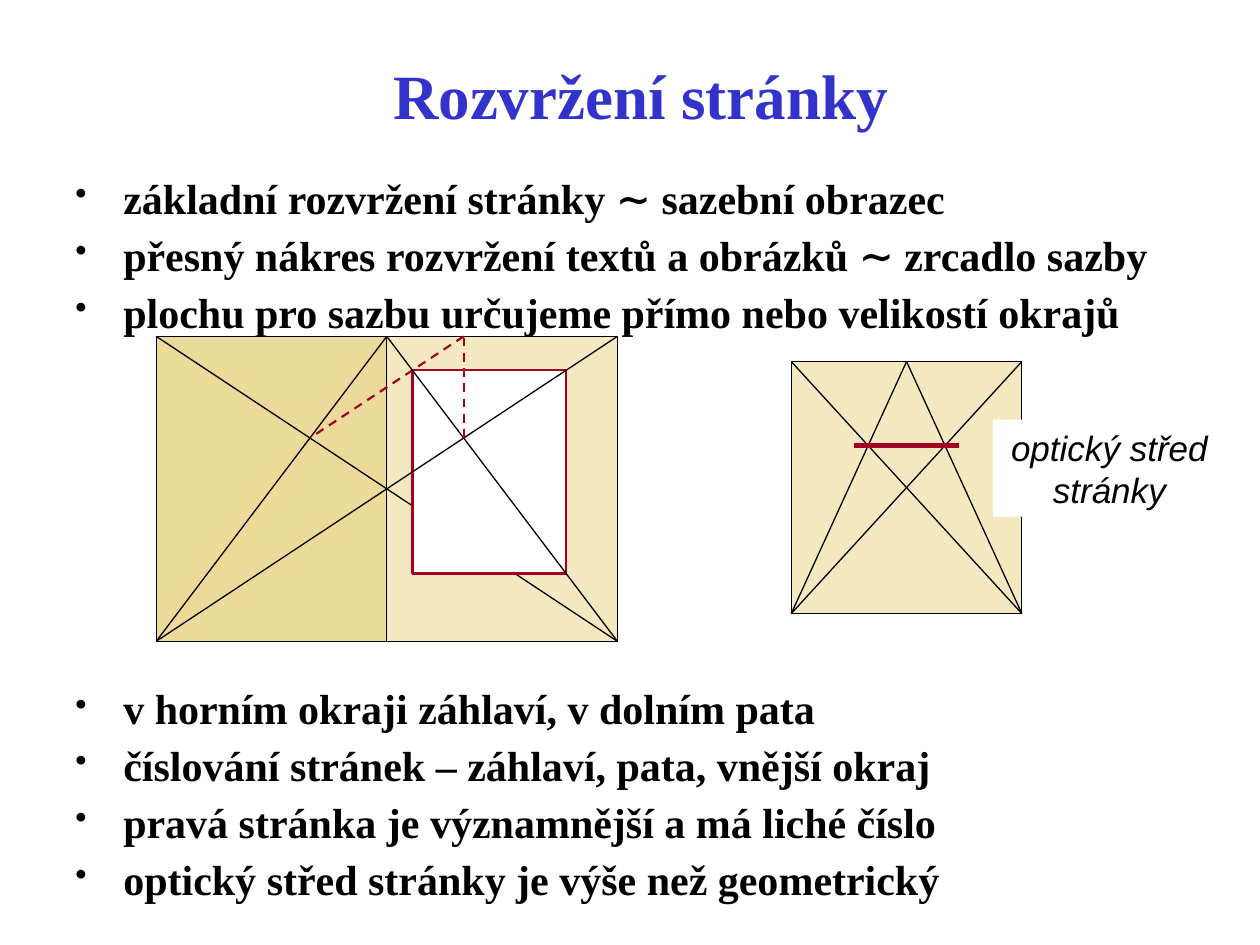
from lxml import etree
from pptx import Presentation
from pptx.dml.color import RGBColor
from pptx.enum.dml import MSO_LINE
from pptx.enum.shapes import MSO_CONNECTOR, MSO_SHAPE
from pptx.enum.text import MSO_ANCHOR, PP_ALIGN
from pptx.oxml.ns import qn
from pptx.util import Inches, Pt

STRAIGHT = MSO_CONNECTOR.STRAIGHT
RECTANGLE = MSO_SHAPE.RECTANGLE
DASH = MSO_LINE.DASH
CENTER = PP_ALIGN.CENTER
BOTTOM = MSO_ANCHOR.BOTTOM
TOP = MSO_ANCHOR.TOP

BLUE = RGBColor(0x33, 0x33, 0xCC)
BLACK = RGBColor(0, 0, 0)
WHITE = RGBColor(0xFF, 0xFF, 0xFF)
RED = RGBColor(0xA5, 0x00, 0x21)
SAND = RGBColor(0xEC, 0xDA, 0x9A)
CREAM = RGBColor(0xF3, 0xE8, 0xBF)

TITLE_FORMAT = {"name": "Times New Roman", "size": Pt(36), "bold": True}
LIST_FORMAT = {"name": "Times New Roman", "size": Pt(24), "bold": True}
LABEL_FORMAT = {"name": "Arial", "size": Pt(20), "italic": True}


def add_rectangle(shapes, left, top, width, height, fill, line=None, weight=0.75):
    box = shapes.add_shape(RECTANGLE, Inches(left), Inches(top), Inches(width), Inches(height))
    box.shadow.inherit = False
    box.fill.solid()
    box.fill.fore_color.rgb = fill
    if line is None:
        box.line.fill.background()
    else:
        box.line.color.rgb = line
        box.line.width = Pt(weight)
    return box


def add_line(shapes, start, end, color=BLACK, weight=0.75, dash=None):
    line = shapes.add_connector(STRAIGHT, *[Inches(value) for value in (*start, *end)])
    line.line.color.rgb = color
    line.line.width = Pt(weight)
    if dash is not None:
        line.line.dash_style = dash
    etree.SubElement(line._element.spPr, qn("a:effectLst"))


deck = Presentation()
deck.slide_width = Inches(10)
deck.slide_height = Inches(7.5)
slide = deck.slides.add_slide(deck.slide_layouts[6])

title = slide.shapes.add_textbox(Inches(0.42), Inches(0.4), Inches(9.33), Inches(0.7))
title.text_frame.word_wrap = True
title.text_frame.vertical_anchor = BOTTOM
para = title.text_frame.paragraphs[0]
para.text = "Rozvržení stránky"
para.alignment = CENTER
para.font.color.rgb = BLUE
for name, value in TITLE_FORMAT.items():
    setattr(para.font, name, value)

LISTS = [
    (1.28, 1.38, [
        "základní rozvržení stránky ∼ sazební obrazec",
        "přesný nákres rozvržení textů a obrázků ∼ zrcadlo sazby",
        "plochu pro sazbu určujeme přímo nebo velikostí okrajů",
    ]),
    (5.33, 1.82, [
        "v horním okraji záhlaví, v dolním pata",
        "číslování stránek – záhlaví, pata, vnější okraj",
        "pravá stránka je významnější a má liché číslo",
        "optický střed stránky je výše než geometrický",
    ]),
]
for top, height, items in LISTS:
    box = slide.shapes.add_textbox(Inches(0.5), Inches(top), Inches(9.25), Inches(height))
    frame = box.text_frame
    frame.word_wrap = True
    frame.vertical_anchor = TOP
    frame.margin_top = Inches(0.09)
    for index, item in enumerate(items):
        para = frame.add_paragraph() if index else frame.paragraphs[0]
        para.text = item
        if index:
            para.space_before = Pt(3.6)
        properties = para._p.get_or_add_pPr()
        properties.set("marL", str(Inches(0.38)))
        properties.set("indent", str(-Inches(0.38)))
        bullet_color = etree.SubElement(properties, qn("a:buClr"))
        etree.SubElement(bullet_color, qn("a:srgbClr"), val=str(BLACK))
        etree.SubElement(properties, qn("a:buSzPct"), val="80000")
        etree.SubElement(properties, qn("a:buChar"), char="•")
        para.font.color.rgb = BLACK
        for name, value in LIST_FORMAT.items():
            setattr(para.font, name, value)

PAGE_WIDTH = 1.83

left, top, height = 6.28, 2.87, 2
right, bottom, middle = left + PAGE_WIDTH, top + height, left + PAGE_WIDTH / 2
page = slide.shapes.add_group_shape().shapes
add_rectangle(page, left, top, PAGE_WIDTH, height, CREAM, BLACK)
for start_x, end_x in [(left, right), (right, left), (middle, left), (middle, right)]:
    add_line(page, (start_x, top), (end_x, bottom))
optical_center = top + height / 3
add_line(page, (middle - 0.42, optical_center), (middle + 0.42, optical_center), RED, 3)

label = add_rectangle(slide.shapes, 7.88, 3.33, 1.85, 0.77, WHITE)
label.text_frame.word_wrap = True
para = label.text_frame.paragraphs[0]
para.text = "optický střed stránky"
para.alignment = CENTER
para.font.color.rgb = BLACK
for name, value in LABEL_FORMAT.items():
    setattr(para.font, name, value)

left, top, height = 1.24, 2.67, 2.42
fold, right, bottom = left + PAGE_WIDTH, left + 2 * PAGE_WIDTH, top + height
third = top + height / 3
guide = fold + PAGE_WIDTH / 3
spread = slide.shapes.add_group_shape().shapes
add_rectangle(spread, left, top, PAGE_WIDTH, height, SAND, BLACK)
add_rectangle(spread, fold, top, PAGE_WIDTH, height, CREAM, BLACK)
add_line(spread, (left, top), (right, bottom))
add_line(spread, (fold, top), (left, bottom))
add_line(spread, (guide, top), (fold - PAGE_WIDTH / 3, third), RED, 1.25, DASH)
add_rectangle(spread, fold + PAGE_WIDTH / 9, top + height / 9, PAGE_WIDTH * 2 / 3, height * 2 / 3,
              WHITE, RED, 1.25)
add_line(spread, (left, bottom), (right, top))
add_line(spread, (right, bottom), (fold, top))
add_line(spread, (guide, third), (guide, top), RED, 1.25, DASH)

deck.save("out.pptx")
